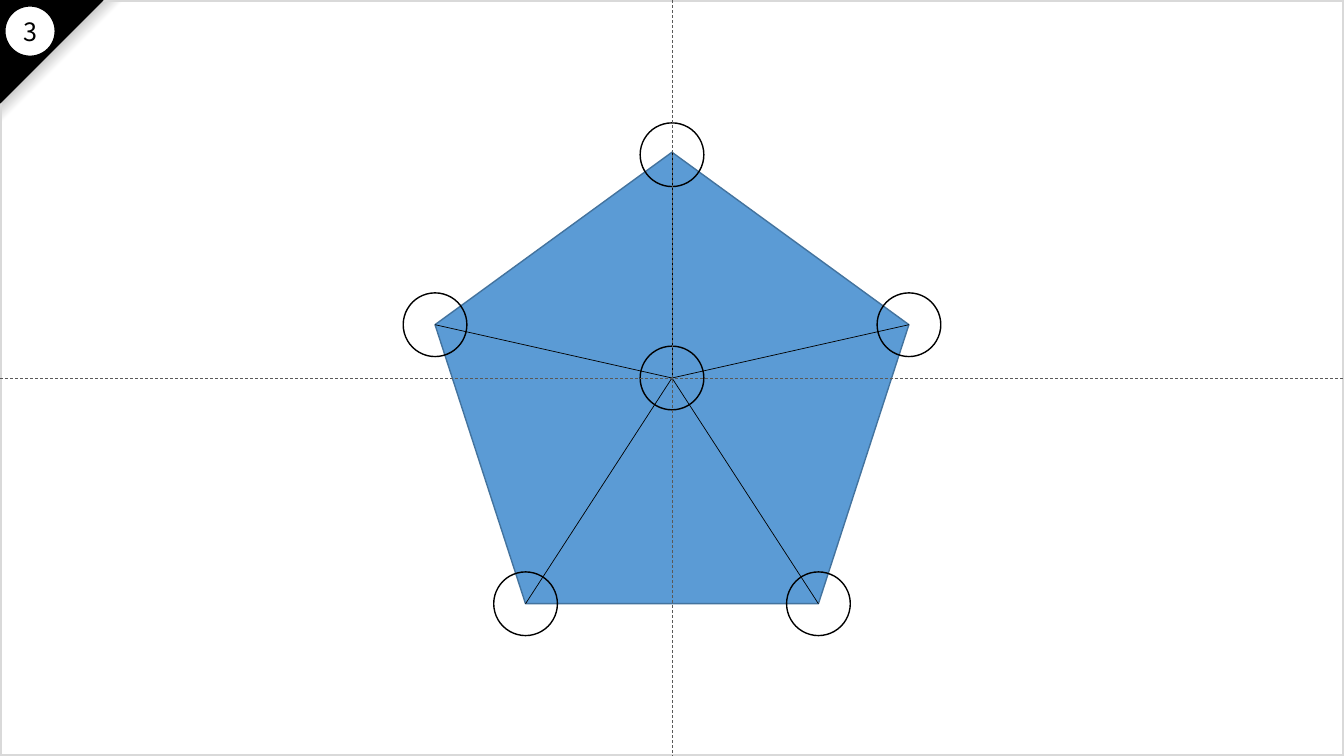
from dataclasses import dataclass
from typing import Optional

from lxml import etree
from pptx import Presentation
from pptx.dml.color import RGBColor
from pptx.enum.dml import MSO_LINE_DASH_STYLE as Dash
from pptx.enum.shapes import MSO_CONNECTOR as Connector, MSO_SHAPE as Preset
from pptx.enum.text import MSO_ANCHOR as Anchor, MSO_AUTO_SIZE as AutoSize, PP_ALIGN as Align
from pptx.oxml.ns import qn
from pptx.util import Pt

WIDTH, HEIGHT = 960, 540
CENTER = (WIDTH / 2, HEIGHT / 2)
BLACK, WHITE, GUIDE_GRAY = "000000", "FFFFFF", "595959"
PENTAGON_WIDTH, PENTAGON_HEIGHT = 338.5, 322.5
MARKER_SIZE = 45.5
SHADOW_STOPS = [(0, WHITE), (50, WHITE), (70, "808080"), (100, BLACK)]


@dataclass
class Figure:
    preset: Preset
    left: float
    top: float
    width: float
    height: float
    fill: Optional[str] = None
    line: Optional[str] = None
    weight: float = 1
    rotation: float = 0


@dataclass
class Segment:
    start: tuple[float, float]
    end: tuple[float, float]
    color: str = BLACK
    dashed: bool = False


def color(value: str) -> RGBColor:
    return RGBColor.from_string(value)


def draw_figure(page, figure: Figure):
    shape = page.shapes.add_shape(figure.preset, Pt(figure.left), Pt(figure.top),
                                  Pt(figure.width), Pt(figure.height))
    shape.shadow.inherit = False
    shape.rotation = figure.rotation
    if figure.fill:
        shape.fill.solid()
        shape.fill.fore_color.rgb = color(figure.fill)
    else:
        shape.fill.background()
    if figure.line:
        shape.line.color.rgb = color(figure.line)
        shape.line.width = Pt(figure.weight)
    else:
        shape.line.fill.background()
    return shape


def draw_segment(page, segment: Segment) -> None:
    points = [Pt(value) for value in segment.start + segment.end]
    connector = page.shapes.add_connector(Connector.STRAIGHT, *points)
    connector.line.color.rgb = color(segment.color)
    connector.line.width = Pt(0.5)
    if segment.dashed:
        connector.line.dash_style = Dash.DASH
    etree.SubElement(connector._element.spPr, qn("a:effectLst"))


def apply_gradient(shape, stops: list[tuple[int, str]], angle: float) -> None:
    shape.fill.gradient()
    shape.fill.gradient_angle = angle
    stop_list = shape._element.spPr.find(f".//{qn('a:gsLst')}")
    for stop in list(stop_list):
        stop_list.remove(stop)
    for percent, value in stops:
        stop = etree.SubElement(stop_list, qn("a:gs"), pos=str(percent * 1000))
        etree.SubElement(stop, qn("a:srgbClr"), val=value)


def draw_number(page, text: str) -> None:
    box = page.shapes.add_textbox(Pt(8.5), Pt(8), Pt(26), Pt(29))
    frame = box.text_frame
    frame.word_wrap = False
    frame.auto_size = AutoSize.SHAPE_TO_FIT_TEXT
    frame.vertical_anchor = Anchor.TOP
    para = frame.paragraphs[0]
    para.text = text
    para.alignment = Align.CENTER
    para.font.name = "Noto Sans CJK JP"
    para.font.size = Pt(18)
    para.font.color.rgb = color(BLACK)


def main() -> None:
    deck = Presentation()
    deck.slide_width, deck.slide_height = Pt(WIDTH), Pt(HEIGHT)
    page = deck.slides.add_slide(deck.slide_layouts[6])

    # Frame and numbered corner
    corner_shadow = draw_figure(page, Figure(Preset.RIGHT_TRIANGLE, 0, 0, 88.5, 88.5, rotation=90))
    apply_gradient(corner_shadow, SHADOW_STOPS, 225)
    for figure in (
        Figure(Preset.RECTANGLE, 0, 0, WIDTH, HEIGHT, line="D9D9D9", weight=3),
        Figure(Preset.RIGHT_TRIANGLE, 0, 0, 73.5, 73.5, BLACK, BLACK, rotation=90),
        Figure(Preset.OVAL, 3.5, 4.25, 36, 36, WHITE, BLACK),
    ):
        draw_figure(page, figure)

    # Pentagon and its corners
    center_x, center_y = CENTER
    left, top = center_x - PENTAGON_WIDTH / 2, 108.75
    right, bottom = left + PENTAGON_WIDTH, top + PENTAGON_HEIGHT
    shoulder = top + 0.382 * PENTAGON_HEIGHT
    inset = 0.191 * PENTAGON_WIDTH
    apex = (center_x, top)
    base_corners = [(left, shoulder), (left + inset, bottom),
                    (right - inset, bottom), (right, shoulder)]
    draw_figure(page, Figure(Preset.REGULAR_PENTAGON, left, top, PENTAGON_WIDTH,
                             PENTAGON_HEIGHT, "5B9BD5", "43739E"))

    # Circles around the centre and corners; the top one sits slightly low
    for x, y in [CENTER, *base_corners, (center_x, top + 1.75)]:
        draw_figure(page, Figure(Preset.OVAL, x - MARKER_SIZE / 2, y - MARKER_SIZE / 2,
                                 MARKER_SIZE, MARKER_SIZE, line=BLACK))

    # Spokes and dashed guides
    spokes = [Segment(corner, CENTER) for corner in [*base_corners, apex]]
    guides = [Segment((0, center_y), (WIDTH, center_y), GUIDE_GRAY, True),
              Segment((center_x, 0), (center_x, HEIGHT), GUIDE_GRAY, True)]
    for segment in spokes + guides:
        draw_segment(page, segment)

    draw_number(page, "3")
    deck.save("out.pptx")


if __name__ == "__main__":
    main()
